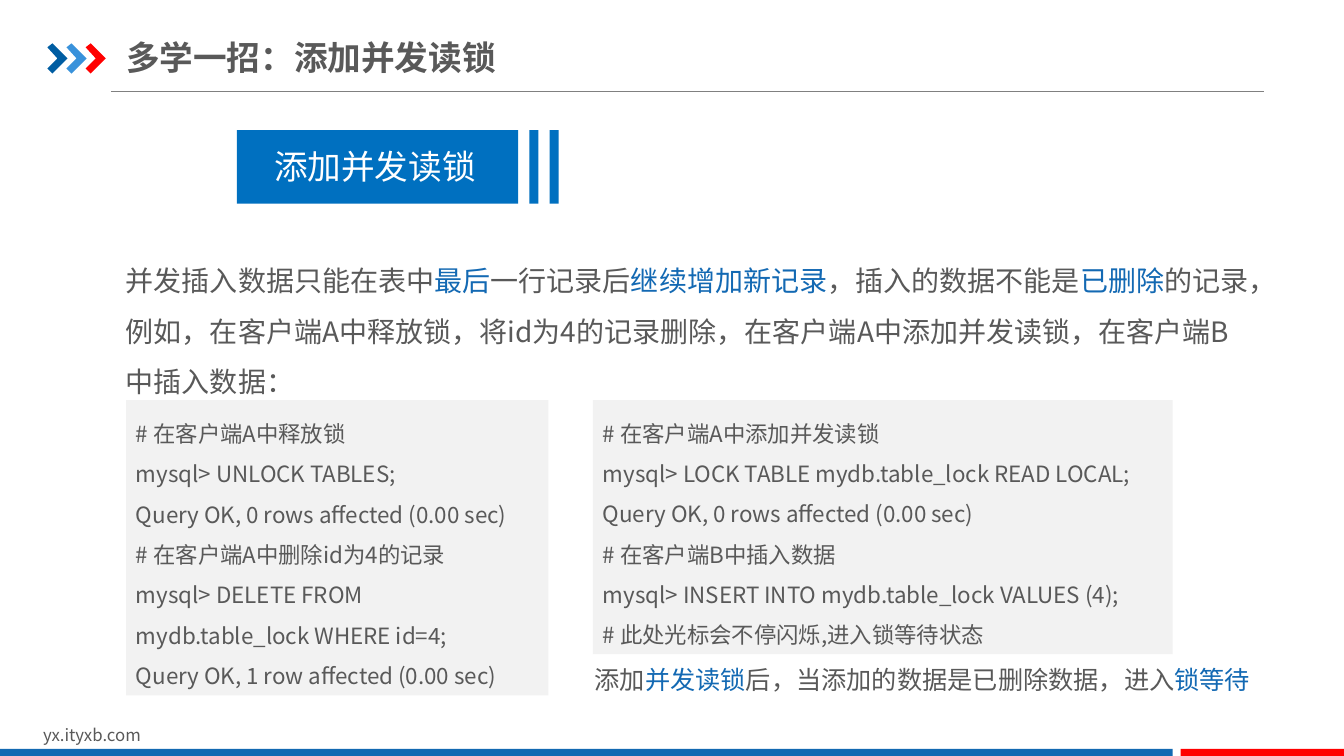
from pptx import Presentation
from pptx.dml.color import RGBColor
from pptx.enum.shapes import MSO_CONNECTOR, MSO_SHAPE
from pptx.enum.text import MSO_ANCHOR, PP_ALIGN
from pptx.oxml.ns import qn
from pptx.util import Inches, Pt
from lxml import etree

RECT = MSO_SHAPE.RECTANGLE
STRAIGHT = MSO_CONNECTOR.STRAIGHT
TOP, MIDDLE = MSO_ANCHOR.TOP, MSO_ANCHOR.MIDDLE
LEFT, JUSTIFY = PP_ALIGN.LEFT, PP_ALIGN.JUSTIFY

COLORS = {
    "text": "595959", "accent": "1369B3", "white": "FFFFFF", "rule": "808080",
    "navy": "005DA2", "sky": "3992DB", "red": "FF0000",
    "foot": "1369B2", "banner": "0070C0", "code": "F2F2F2",
}
SANS = "Noto Sans CJK SC"


def color(name):
    return RGBColor.from_string(COLORS[name])


class Board:
    def __init__(self, slide):
        self.slide = slide
        self.shapes = slide.shapes

    def label(self, shape, lines, size, ink="text", bold=False, font=SANS,
              space=None, align=LEFT, anchor=TOP):
        """Fill a shape with lines; parts between | marks take the accent colour."""
        frame = shape.text_frame
        frame.word_wrap = True
        frame.vertical_anchor = anchor
        for i, line in enumerate(lines):
            para = frame.add_paragraph() if i else frame.paragraphs[0]
            para.alignment = align
            para.line_spacing = space
            for j, part in enumerate(line.split("|")):
                run = para.add_run()
                run.text = part
                run.font.size = Pt(size)
                run.font.bold = bold
                run.font.color.rgb = color("accent" if j % 2 else ink)
                run.font.name = font
                props = run.font._element
                etree.SubElement(props, qn("a:ea")).set("typeface", SANS)

    def title(self, words, box):
        shape = self.shapes.title
        shape.left, shape.top, shape.width, shape.height = map(Inches, box)
        frame = shape.text_frame
        frame.margin_left = frame.margin_right = 0
        frame.margin_top = frame.margin_bottom = Inches(0.07)
        self.label(shape, [words], 24, bold=True, anchor=MIDDLE)

    def text(self, words, box, size, **style):
        self.label(self.shapes.add_textbox(*map(Inches, box)), [words], size, **style)

    def paint(self, shape, fill):
        shape.shadow.inherit = False
        shape.fill.solid()
        shape.fill.fore_color.rgb = color(fill)
        shape.line.fill.background()

    def rect(self, box, fill):
        shape = self.shapes.add_shape(RECT, *map(Inches, box))
        self.paint(shape, fill)
        return shape

    def code(self, lines, box, align=LEFT):
        self.label(self.rect(box, "code"), lines, 16,
                   space=1.5, align=align, anchor=MIDDLE)

    def chevron(self, x, y, fill):
        dots = [(0, 0.04), (0.05, 0), (0.2, 0.15), (0.05, 0.3), (0, 0.25), (0.1, 0.15)]
        points = [(Inches(x + dx), Inches(y + dy)) for dx, dy in dots]
        form = self.shapes.build_freeform(*points[0])
        form.add_line_segments(points[1:], close=True)
        self.paint(form.convert_to_shape(), fill)

    def line(self, x1, y1, x2, y2):
        line = self.shapes.add_connector(STRAIGHT, *map(Inches, (x1, y1, x2, y2)))
        line.line.color.rgb = color("rule")
        line.line.width = Pt(0.75)
        etree.SubElement(line._element.spPr, qn("a:effectLst"))


def main():
    deck = Presentation()
    deck.slide_width, deck.slide_height = Inches(13.33), Inches(7.5)
    board = Board(deck.slides.add_slide(deck.slide_layouts[5]))

    board.line(1.1, 0.91, 12.54, 0.91)
    for i, fill in enumerate(("navy", "sky", "red")):
        board.chevron(0.47 + 0.19 * i, 0.43, fill)
    board.text("yx.ityxb.com", (0.33, 7.14, 3.18, 0.3), 12)
    board.rect((0, 7.43, 11.63, 0.07), "foot")
    board.rect((11.71, 7.43, 1.62, 0.07), "red")
    board.title("多学一招：添加并发读锁", (1.25, 0.29, 6.08, 0.55))

    for x, width in ((2.35, 2.79), (5.25, 0.09), (5.45, 0.09)):
        board.rect((x, 1.29, width, 0.73), "banner")
    board.text("添加并发读锁", (2.62, 1.4, 2.25, 0.5), 24, ink="white", font="Arial")

    board.text("并发插入数据只能在表中|最后|一行记录后|继续增加新记录|，"
               "插入的数据不能是|已删除|的记录，例如，在客户端A中释放锁，"
               "将id为4的记录删除，在客户端A中添加并发读锁，在客户端B中插入数据：",
               (1.15, 2.4, 11.4, 1.62), 20, space=1.5)
    board.code([
        "# 在客户端A中释放锁",
        "mysql> UNLOCK TABLES;",
        "Query OK, 0 rows affected (0.00 sec)",
        "# 在客户端A中删除id为4的记录",
        "mysql> DELETE FROM mydb.table_lock WHERE id=4;",
        "Query OK, 1 row affected (0.00 sec)",
    ], (1.25, 3.97, 4.19, 2.93))
    board.text("添加|并发读锁|后，当添加的数据是已删除数据，进入|锁等待",
               (5.8, 6.54, 6.75, 0.4), 18)
    board.code([
        "# 在客户端A中添加并发读锁",
        "mysql> LOCK TABLE mydb.table_lock READ LOCAL;",
        "Query OK, 0 rows affected (0.00 sec)",
        "# 在客户端B中插入数据",
        "mysql> INSERT INTO mydb.table_lock VALUES (4);",
        "# 此处光标会不停闪烁,进入锁等待状态",
    ], (5.88, 3.97, 5.75, 2.52), align=JUSTIFY)
    deck.save("out.pptx")


if __name__ == "__main__":
    main()
